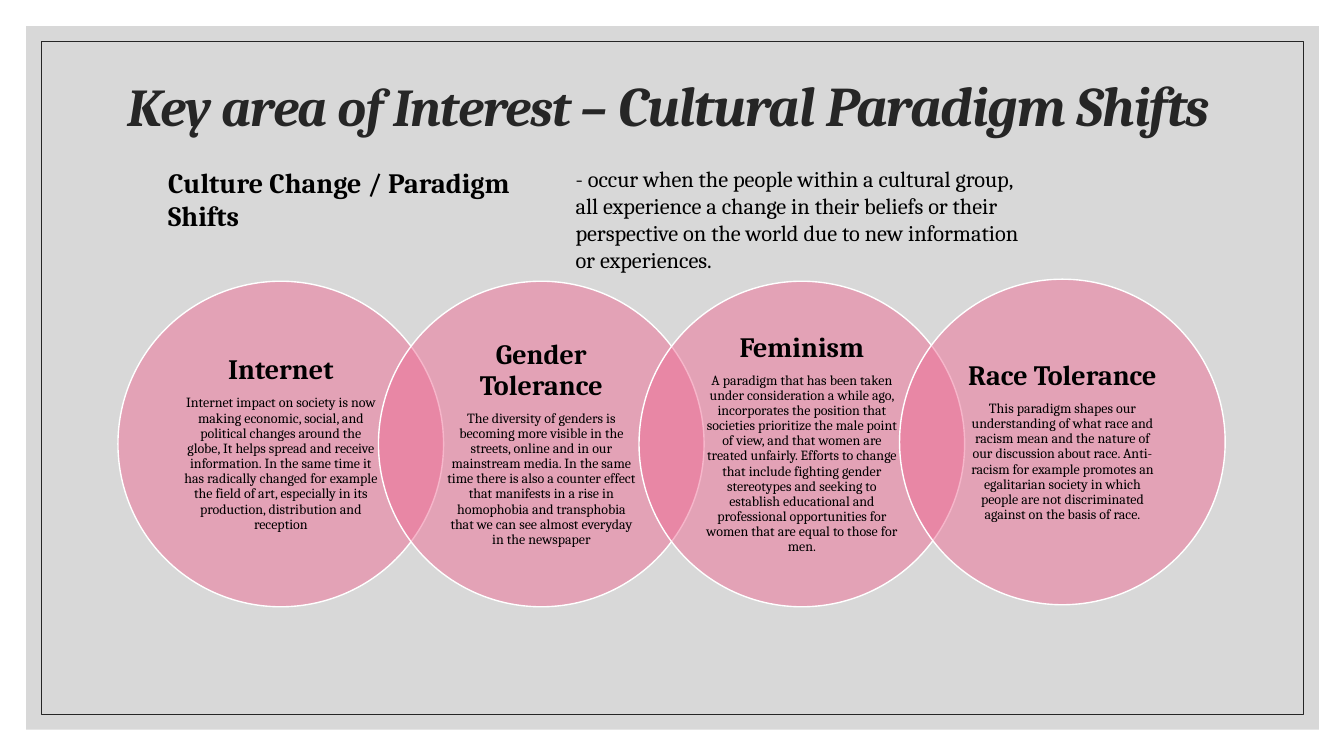
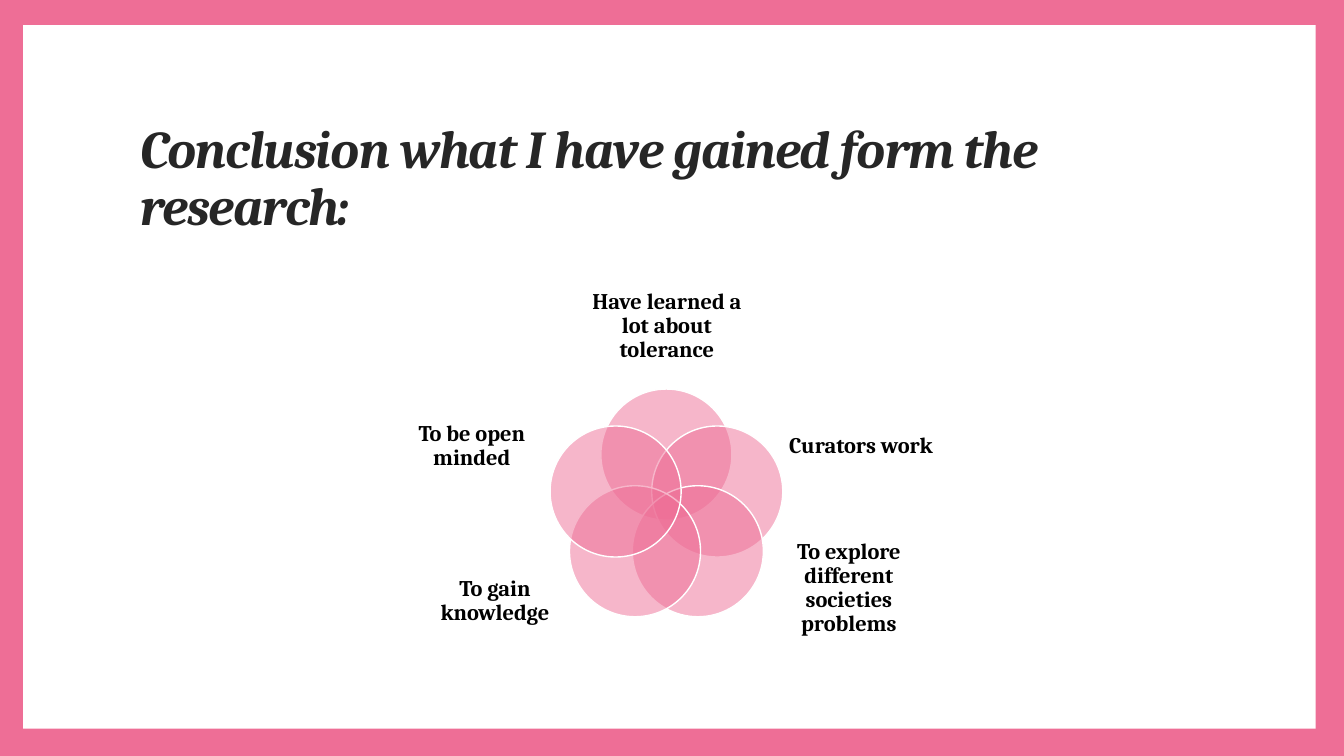
import math
from pptx import Presentation
from pptx.dml.color import RGBColor
from pptx.enum.shapes import MSO_SHAPE
from pptx.enum.text import MSO_ANCHOR, PP_ALIGN
from pptx.oxml.ns import qn
from pptx.util import Inches, Pt
from lxml import etree

FONT = "Cambria"
PINK, GREY, INK, BLACK, WHITE = "EE6E96", "BFBFBF", "262626", "000000", "FFFFFF"
INSET = (0.1, 0.05, 0.1, 0.05)
TITLE = {"size": 38, "bold": True, "italic": True, "color": INK, "spacing": -70}
HEADING = {"size": 20, "bold": True}
DETAIL = {"size": 10}
DEFINITION = {"size": 16}
LABEL = {"size": 16, "bold": True}

SHIFTS_TITLE = [("Key area of Interest – ", TITLE),
                ("Cultural Paradigm Shifts", {**TITLE, "size": 40})]
TERM = "Culture Change / Paradigm Shifts"
MEANING = ("- occur when the people within a cultural group, all experience a change in "
           "their beliefs or their perspective on the world due to new information or experiences.")
SHIFTS = [
    ("Internet", 2.79,
     "Internet impact on society is now making economic, social, and political changes "
     "around the globe, It helps spread and receive information. In the same time it has "
     "radically changed for example the field of art, especially in its production, "
     "distribution and reception"),
    ("Gender Tolerance", 2.79,
     "The diversity of genders is becoming more visible in the streets, online and in our "
     "mainstream media. In the same time there is also a counter effect that manifests in a "
     "rise in homophobia and transphobia that we can see almost everyday in the newspaper"),
    ("Feminism", 2.79,
     "A paradigm that has been taken under consideration a while ago, incorporates the "
     "position that societies prioritize the male point of view, and that women are treated "
     "unfairly. Efforts to change that include fighting gender stereotypes and seeking to "
     "establish educational and professional opportunities for women that are equal to those "
     "for men."),
    ("Race Tolerance", 2.77,
     "This paradigm shapes our understanding of what race and racism mean and the nature of "
     "our discussion about race. Anti-racism for example promotes an egalitarian society in "
     "which people are not discriminated against on the basis of race."),
]
CONCLUSION_TITLE = [("Conclusion what I have gained form the research:", TITLE)]
GAINS = [
    ("Have learned a lot about tolerance", (5.86, 2.8, 1.51, 0.88)),
    ("Curators work", (7.81, 3.93, 1.46, 0.99)),
    ("To explore different societies problems", (7.74, 5.36, 1.36, 0.95)),
    ("To gain knowledge", (4.23, 5.49, 1.36, 0.95)),
    ("To be open minded", (4, 3.95, 1.36, 0.95)),
]


def rgb(value):
    return RGBColor.from_string(value)


def lengths(values):
    return [Inches(value) for value in values]


def add_figure(page, kind, place, fill=None, opacity=100, line=None, width=1):
    figure = page.shapes.add_shape(kind, *lengths(place))
    figure.shadow.inherit = False
    if fill:
        figure.fill.solid()
        figure.fill.fore_color.rgb = rgb(fill)
        if opacity < 100:
            color = figure.fill._xPr.find(qn("a:solidFill"))[0]
            etree.SubElement(color, qn("a:alpha"), val=str(opacity * 1000))
    else:
        figure.fill.background()
    if line:
        figure.line.color.rgb = rgb(line)
        figure.line.width = Pt(width)
    else:
        figure.line.fill.background()


def add_circle(page, left, top, size):
    add_figure(page, MSO_SHAPE.OVAL, (left, top, size, size), PINK, 50, WHITE)


def add_text(page, place, paragraphs, inset=INSET, anchor=MSO_ANCHOR.TOP,
             align=PP_ALIGN.LEFT, line_spacing=1.0, after=0.0):
    frame = page.shapes.add_textbox(*lengths(place)).text_frame
    sides = ("margin_left", "margin_top", "margin_right", "margin_bottom")
    settings = {"word_wrap": True, "vertical_anchor": anchor, **dict(zip(sides, lengths(inset)))}
    for name, value in settings.items():
        setattr(frame, name, value)
    for index, runs in enumerate(paragraphs):
        para = frame.add_paragraph() if index else frame.paragraphs[0]
        para.alignment = align
        para.line_spacing = line_spacing
        para.space_after = Pt(after * runs[0][1]["size"])
        for words, style in runs:
            span = para.add_run()
            span.text = words
            formats = {"name": FONT, "size": Pt(style["size"]),
                       "bold": style.get("bold", False), "italic": style.get("italic", False)}
            for name, value in formats.items():
                setattr(span.font, name, value)
            span.font.color.rgb = rgb(style.get("color", BLACK))
            if "spacing" in style:
                span.font._element.set("spc", str(style["spacing"]))


def add_title(page, place, runs):
    add_text(page, place, [runs], anchor=MSO_ANCHOR.MIDDLE, line_spacing=0.9)


def add_caption(page, place, paragraphs, inset):
    add_text(page, place, paragraphs, inset, MSO_ANCHOR.MIDDLE, PP_ALIGN.CENTER, 0.9, 0.35)


def build_shifts(page):
    add_figure(page, MSO_SHAPE.RECTANGLE, (0.26, 0.26, 12.82, 6.98), GREY, 60)
    add_figure(page, MSO_SHAPE.RECTANGLE, (0.41, 0.41, 12.52, 6.68), line=INK, width=0.5)
    add_title(page, (1.17, 0.33, 11, 1.5), SHIFTS_TITLE)
    size, text_size = 3.23, 2.29
    margin = (size - text_size) / 2
    step = size * 0.8
    for index, (name, top, detail) in enumerate(SHIFTS):
        left = 1.17 + index * step
        add_circle(page, left, top, size)
        add_caption(page, (left + margin, top + margin, text_size, text_size),
                    [[(name, HEADING)], [(detail, DETAIL)]], (0.18, 0.03, 0.18, 0.03))
    add_text(page, (1.57, 1.59, 4.04, 0.78), [[(TERM, HEADING)]])
    add_text(page, (5.61, 1.59, 4.78, 1.18), [[(MEANING, DEFINITION)]])


def build_conclusion(page):
    add_figure(page, MSO_SHAPE.RECTANGLE, (0, 0, 13.33, 7.5), PINK)
    add_figure(page, MSO_SHAPE.RECTANGLE, (0.23, 0.25, 12.82, 6.98), WHITE)
    add_title(page, (1.29, 0.95, 10.71, 1.67), CONCLUSION_TITLE)
    center_x, center_y, orbit, size = 6.61, 5.04, 0.53, 1.3
    for index, (words, place) in enumerate(GAINS):
        angle = math.tau * index / len(GAINS)
        add_circle(page, center_x + orbit * math.sin(angle) - size / 2,
                   center_y - orbit * math.cos(angle) - size / 2, size)
        add_caption(page, place, [[(words, LABEL)]], (0, 0, 0, 0))


def main():
    deck = Presentation()
    deck.slide_width, deck.slide_height = lengths((13.33, 7.5))
    for build in (build_shifts, build_conclusion):
        build(deck.slides.add_slide(deck.slide_layouts[6]))
    deck.save("out.pptx")


if __name__ == "__main__":
    main()
